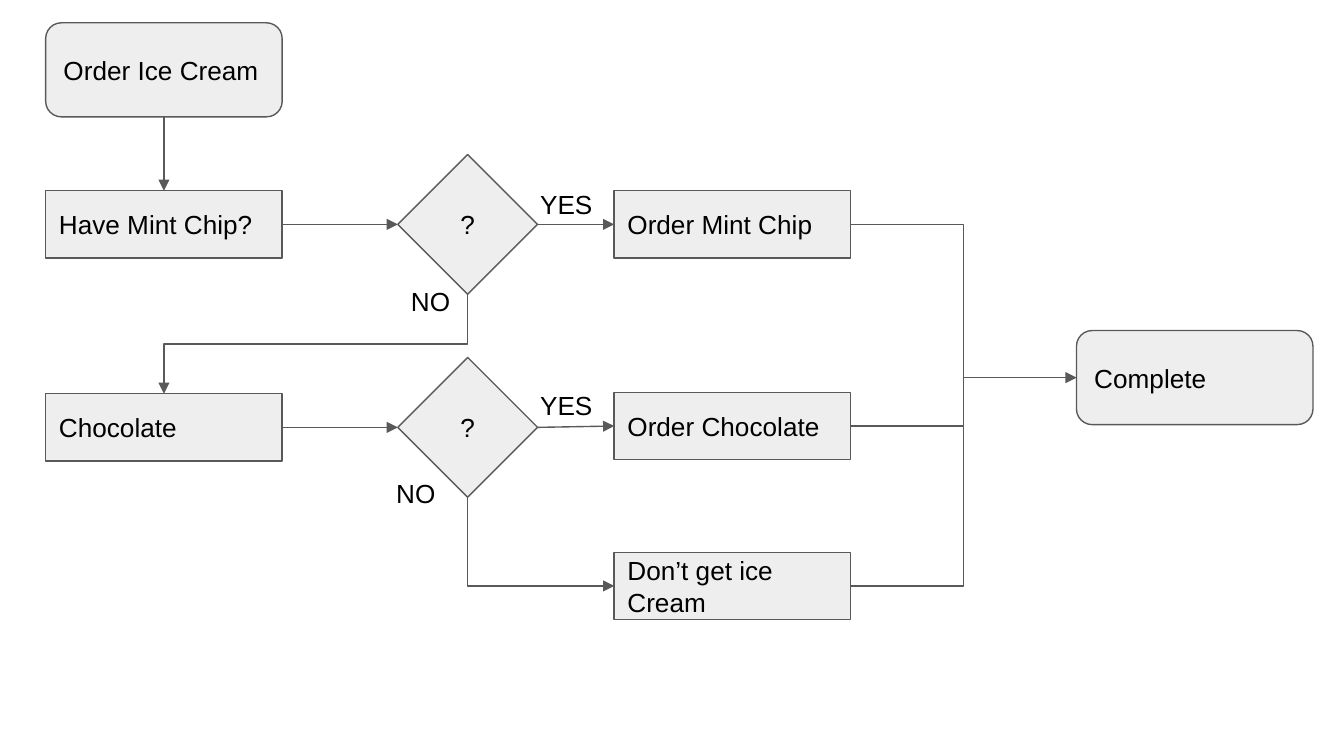
from lxml.etree import SubElement
from pptx import Presentation
from pptx.dml.color import RGBColor
from pptx.enum.shapes import MSO_CONNECTOR as Link, MSO_SHAPE as Shape
from pptx.enum.text import MSO_ANCHOR as Anchor, MSO_AUTO_SIZE as AutoSize, PP_ALIGN as Align
from pptx.oxml.ns import qn
from pptx.util import Inches, Pt

COLORS = {"fill": "EEEEEE", "line": "595959", "text": "000000"}
FONT = {"name": "Arial", "size": Pt(14)}
INSETS = ("margin_left", "margin_top", "margin_right", "margin_bottom")
TOP, LEFT, BOTTOM, RIGHT = range(4)

# Kind: preset shape, width, height, alignment
KINDS = {
    "terminal": (Shape.ROUNDED_RECTANGLE, 1.76, 0.7, Align.LEFT),
    "step": (Shape.RECTANGLE, 1.76, 0.5, Align.LEFT),
    "decision": (Shape.DIAMOND, 1.04, 1.04, Align.CENTER),
}
COLUMNS = {"ask": 0.34, "decide": 2.96, "order": 4.57, "end": 8.01}

# Node: kind, column, vertical centre, text
NODES = {
    "start": ("terminal", "ask", 0.52, "Order Ice Cream"),
    "mint": ("step", "ask", 1.67, "Have Mint Chip?"),
    "mint?": ("decision", "decide", 1.67, "?"),
    "order mint": ("step", "order", 1.67, "Order Mint Chip"),
    "chocolate": ("step", "ask", 3.18, "Chocolate"),
    "chocolate?": ("decision", "decide", 3.18, "?"),
    "order chocolate": ("step", "order", 3.17, "Order Chocolate"),
    "none": ("step", "order", 4.36, "Don’t get ice Cream"),
    "complete": ("terminal", "end", 2.81, "Complete"),
}

# Flow: from, side, to, side, connector, arrowhead
FLOWS = [
    ("start", BOTTOM, "mint", TOP, Link.STRAIGHT, True),
    ("mint", RIGHT, "mint?", LEFT, Link.STRAIGHT, True),
    ("mint?", RIGHT, "order mint", LEFT, Link.STRAIGHT, True),
    ("mint?", BOTTOM, "chocolate", TOP, Link.ELBOW, True),
    ("chocolate", RIGHT, "chocolate?", LEFT, Link.STRAIGHT, True),
    ("chocolate?", RIGHT, "order chocolate", LEFT, Link.STRAIGHT, True),
    ("chocolate?", BOTTOM, "none", LEFT, Link.ELBOW, True),
    ("order mint", RIGHT, "complete", LEFT, Link.ELBOW, True),
    ("order chocolate", RIGHT, "complete", LEFT, Link.ELBOW, False),
    ("none", RIGHT, "complete", LEFT, Link.ELBOW, False),
]

# Answer: text, left, top, width
ANSWERS = [
    ("YES", 3.92, 1.3, 0.71),
    ("NO", 2.96, 2.02, 0.63),
    ("YES", 3.92, 2.8, 0.85),
    ("NO", 2.85, 3.45, 0.63),
]


def color(name):
    return RGBColor.from_string(COLORS[name])


def outline(part):
    part.line.color.rgb = color("line")
    part.line.width = Pt(0.75)


def write(part, text, align=Align.LEFT, anchor=Anchor.TOP):
    frame = part.text_frame
    frame.word_wrap = True
    frame.vertical_anchor = anchor
    for inset in INSETS:
        setattr(frame, inset, Inches(0.1))
    paragraph = frame.paragraphs[0]
    paragraph.alignment = align
    run = paragraph.add_run()
    run.text = text
    for key, value in FONT.items():
        setattr(run.font, key, value)
    run.font.color.rgb = color("text")


def add_node(slide, kind, column, middle, text):
    preset, width, height, align = KINDS[kind]
    box = (COLUMNS[column], middle - height / 2, width, height)
    node = slide.shapes.add_shape(preset, *map(Inches, box))
    node.shadow.inherit = False
    node.fill.solid()
    node.fill.fore_color.rgb = color("fill")
    outline(node)
    write(node, text, align, Anchor.MIDDLE)
    return node


def side_point(node, side):
    across, down = {TOP: (1, 0), LEFT: (0, 1), BOTTOM: (1, 2), RIGHT: (2, 1)}[side]
    return node.left + node.width * across // 2, node.top + node.height * down // 2


def turn_down(flow, start, end, preset):
    """Rotate an elbow so that it leaves its start downwards."""
    (x1, y1), (x2, y2) = start, end
    flow.width, flow.height = abs(y2 - y1), abs(x2 - x1)
    flow.left = (x1 + x2 - flow.width) // 2
    flow.top = (y1 + y2 - flow.height) // 2
    properties = flow.element.spPr
    frame = properties.find(qn("a:xfrm"))
    frame.set("rot", str((90 if x2 < x1 else 270) * 60000))
    frame.set("flipH", "0" if x2 < x1 else "1")
    frame.set("flipV", "0")
    properties.find(qn("a:prstGeom")).set("prst", preset)


def add_flow(slide, source, out_side, target, in_side, link, arrow):
    start, end = side_point(source, out_side), side_point(target, in_side)
    flow = slide.shapes.add_connector(link, *start, *end)
    flow.begin_connect(source, out_side)
    flow.end_connect(target, in_side)
    if link == Link.ELBOW and out_side == BOTTOM:
        preset = "bentConnector3" if in_side == TOP else "bentConnector2"
        turn_down(flow, start, end, preset)
    outline(flow)
    if arrow:
        line = flow.element.spPr.find(qn("a:ln"))
        SubElement(line, qn("a:tailEnd"), type="triangle")
    SubElement(flow.element.spPr, qn("a:effectLst"))


def main():
    # Widescreen slide, 16:9
    deck = Presentation()
    deck.slide_width = Inches(10)
    deck.slide_height = deck.slide_width * 9 // 16
    slide = deck.slides.add_slide(deck.slide_layouts[6])

    # Steps, decisions and end points
    nodes = {key: add_node(slide, *node) for key, node in NODES.items()}

    # Flow lines
    for source, out_side, target, in_side, link, arrow in FLOWS:
        add_flow(slide, nodes[source], out_side, nodes[target], in_side, link, arrow)

    # Answers beside the decisions
    for text, left, top, width in ANSWERS:
        answer = slide.shapes.add_textbox(*map(Inches, (left, top, width, 0.44)))
        write(answer, text)
        answer.text_frame.auto_size = AutoSize.SHAPE_TO_FIT_TEXT

    deck.save("out.pptx")


if __name__ == "__main__":
    main()
